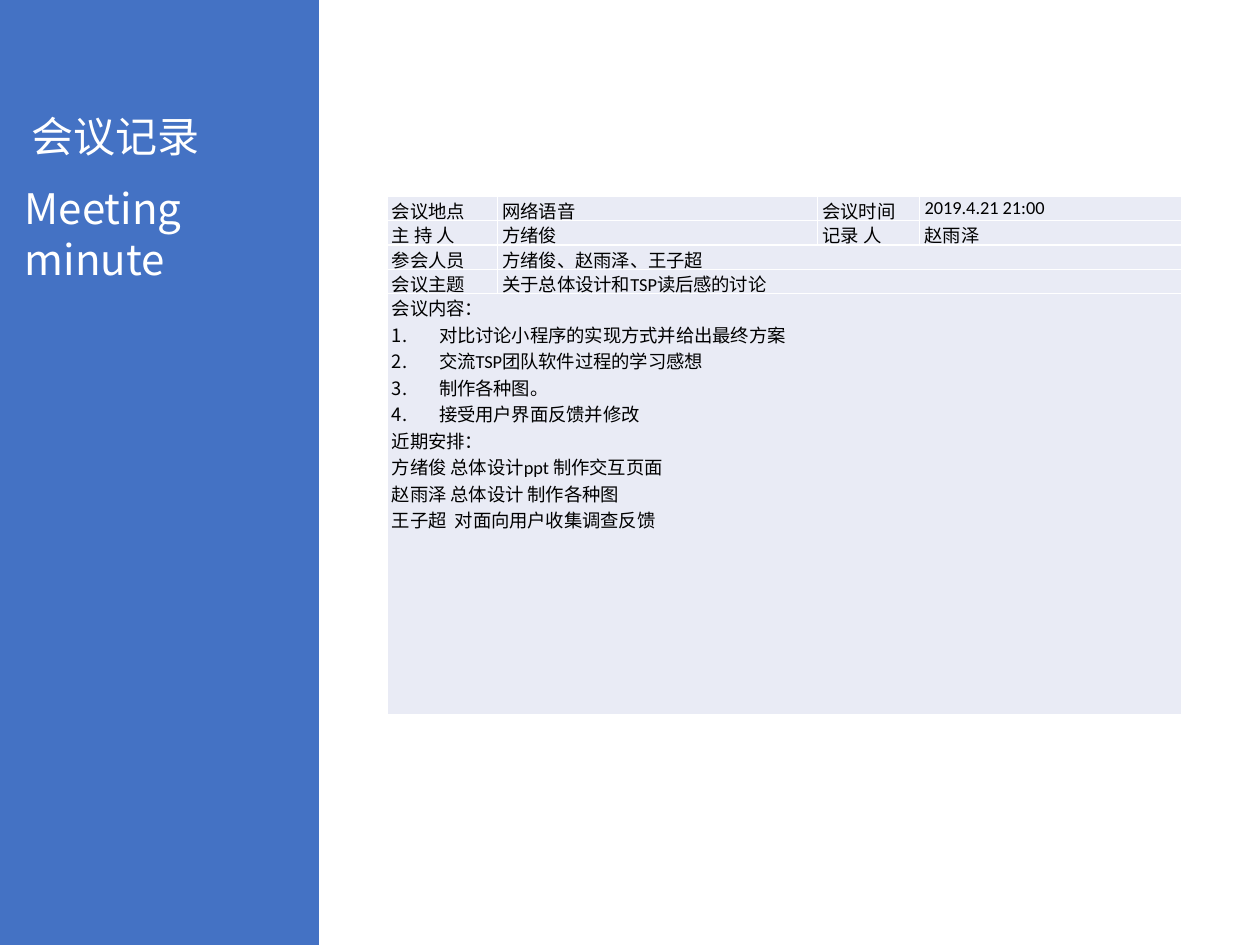
from lxml import etree
from pptx import Presentation
from pptx.dml.color import RGBColor
from pptx.enum.shapes import MSO_SHAPE as Shape
from pptx.enum.text import MSO_ANCHOR as Anchor, PP_ALIGN as Align
from pptx.oxml.ns import qn
from pptx.util import Cm, Pt

BLUE = RGBColor(0x44, 0x72, 0xC4)
PALE = RGBColor(0xE9, 0xEB, 0xF5)
WHITE = RGBColor(0xFF, 0xFF, 0xFF)
BLACK = RGBColor(0, 0, 0)
CHINESE = "Noto Sans CJK SC"


def write(para, text, size=10.5, font="Calibri", color=BLACK, align=Align.JUSTIFY, numbered=False):
    para.alignment = align
    span = para.add_run()
    span.text = text
    span.font.size = Pt(size)
    span.font.name = font
    span.font.color.rgb = color
    etree.SubElement(span.font._element, qn("a:ea"), typeface=CHINESE)
    if numbered:
        layout = para._p.get_or_add_pPr()
        layout.set("marL", str(Cm(0.95)))
        layout.set("indent", str(-Cm(0.95)))
        etree.SubElement(layout, qn("a:buAutoNum"), type="arabicPeriod")
        tabs = etree.SubElement(layout, qn("a:tabLst"))
        etree.SubElement(tabs, qn("a:tab"), pos=str(Cm(1.27)), algn="l")


deck = Presentation()
deck.slide_width, deck.slide_height = Cm(25.4), Cm(19.05)
page = deck.slides.add_slide(deck.slide_layouts[6])

sidebar = page.shapes.add_shape(Shape.RECTANGLE, 0, 0, Cm(6.43), deck.slide_height)
sidebar.shadow.inherit = False
sidebar.fill.solid()
sidebar.fill.fore_color.rgb = BLUE
sidebar.line.fill.background()

headings = [
    ("会议记录", 0.38, 2.11, 6.43, 1.27),
    ("Meeting minute", 0.25, 3.56, 6.17, 2.31),
]
for text, left, top, width, height in headings:
    box = page.shapes.add_textbox(Cm(left), Cm(top), Cm(width), Cm(height))
    box.text_frame.word_wrap = True
    write(box.text_frame.paragraphs[0], text, size=24, font=CHINESE, color=WHITE, align=Align.LEFT)

content = [
    ("会议内容:".replace(":", "："), False),
    ("对比讨论小程序的实现方式并给出最终方案", True),
    ("交流TSP团队软件过程的学习感想", True),
    ("制作各种图。", True),
    ("接受用户界面反馈并修改", True),
    ("近期安排：", False),
    ("方绪俊 总体设计ppt 制作交互页面", False),
    ("赵雨泽 总体设计 制作各种图", False),
    ("王子超  对面向用户收集调查反馈", False),
]
rows = [
    ["会议地点", "网络语音", "会议时间", "2019.4.21 21:00"],
    ["主 持 人", "方绪俊", "记录 人", "赵雨泽"],
    ["参会人员", "方绪俊、赵雨泽、王子超"],
    ["会议主题", "关于总体设计和TSP读后感的讨论"],
    [],
]
widths = [2.23, 6.45, 2.06, 5.28]
heights = [0.49] * 4 + [8.48]

frame = page.shapes.add_table(
    len(rows), len(widths), Cm(7.8), Cm(3.96), Cm(sum(widths)), Cm(sum(heights)))
table = frame.table
table.first_row = table.horz_banding = False
for column, width in zip(table.columns, widths):
    column.width = Cm(width)
for row, height in zip(table.rows, heights):
    row.height = Cm(height)

for cell in table.iter_cells():
    cell.margin_left = cell.margin_right = Cm(0.1)
    cell.margin_top, cell.margin_bottom = Cm(0.02), 0
    cell.fill.solid()
    cell.fill.fore_color.rgb = PALE
    for place, side in enumerate(("lnL", "lnR", "lnT", "lnB")):
        border = etree.Element(qn("a:" + side), w=str(Pt(1)))
        paint = etree.SubElement(border, qn("a:solidFill"))
        etree.SubElement(paint, qn("a:srgbClr"), val=str(WHITE))
        cell._tc.tcPr.insert(place, border)
    cell.text_frame.paragraphs[0].font.size = Pt(10.5)

for index, texts in enumerate(rows):
    for place, text in enumerate(texts):
        write(table.cell(index, place).text_frame.paragraphs[0], text)
for index in (2, 3):
    table.cell(index, 0).vertical_anchor = Anchor.MIDDLE
    table.cell(index, 1).merge(table.cell(index, 3))

minutes = table.cell(4, 0)
minutes.merge(table.cell(4, 3))
for index, (text, numbered) in enumerate(content):
    para = minutes.text_frame.add_paragraph() if index else minutes.text_frame.paragraphs[0]
    write(para, text, numbered=numbered)

deck.save("out.pptx")
